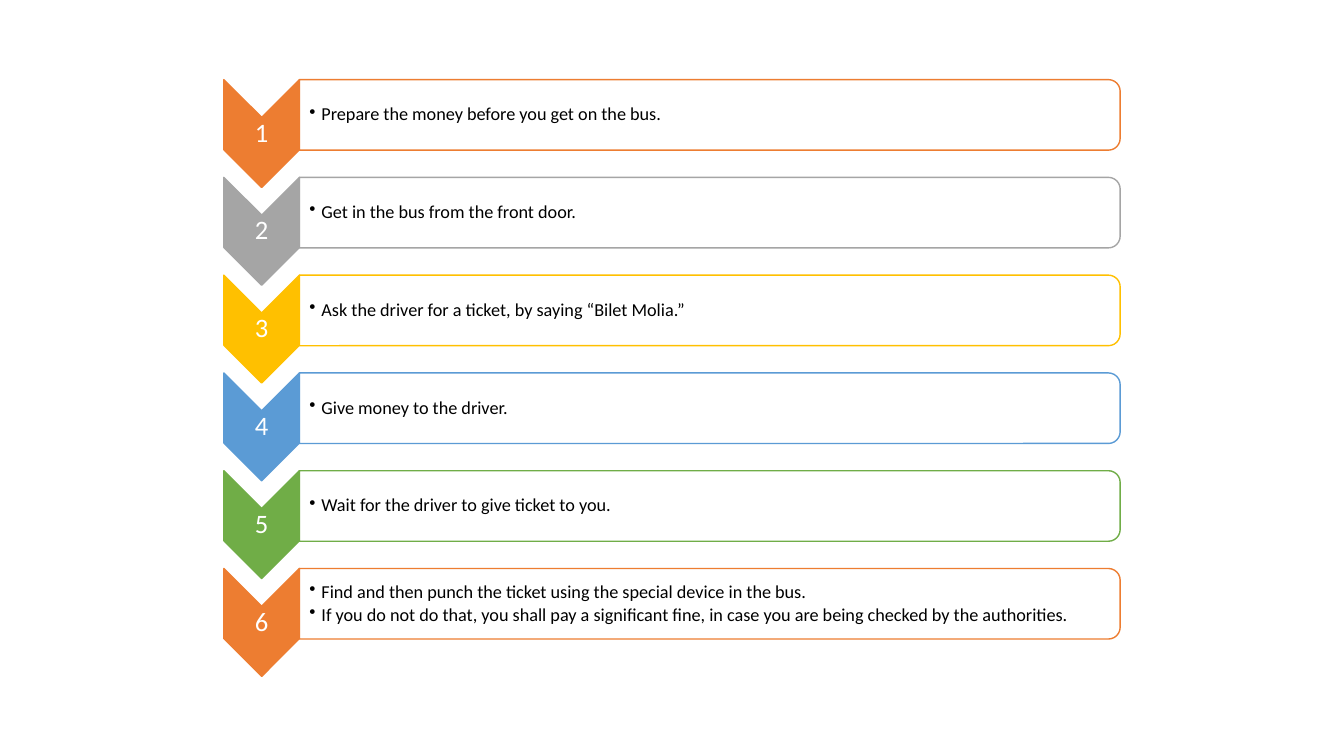
from lxml.etree import SubElement
from pptx import Presentation
from pptx.dml.color import RGBColor
from pptx.enum.shapes import MSO_SHAPE as Preset
from pptx.enum.text import MSO_ANCHOR as Anchor, PP_ALIGN as Align
from pptx.oxml.ns import qn
from pptx.util import Inches, Pt

ORANGE = RGBColor(0xED, 0x7D, 0x31)
GRAY = RGBColor(0xA5, 0xA5, 0xA5)
GOLD = RGBColor(0xFF, 0xC0, 0x00)
BLUE = RGBColor(0x5B, 0x9B, 0xD5)
GREEN = RGBColor(0x70, 0xAD, 0x47)
WHITE = RGBColor(0xFF, 0xFF, 0xFF)
BLACK = RGBColor(0x00, 0x00, 0x00)

STEPS = [
    (ORANGE, ["Prepare the money before you get on the bus."]),
    (GRAY, ["Get in the bus from the front door."]),
    (GOLD, ["Ask the driver for a ticket, by saying “Bilet Molia.”"]),
    (BLUE, ["Give money to the driver."]),
    (GREEN, ["Wait for the driver to give ticket to you."]),
    (ORANGE, [
        "Find and then punch the ticket using the special device in the bus.",
        "If you do not do that, you shall pay a significant fine, "
        "in case you are being checked by the authorities.",
    ]),
]

LEFT, TOP, PITCH = 2.22, 0.79, 0.97
CHEVRON_WIDTH, CHEVRON_HEIGHT = 0.75, 1.07
PANEL_WIDTH, PANEL_HEIGHT = 8.14, 0.7
PANEL_LEFT = LEFT + CHEVRON_WIDTH
NUMBER_HEIGHT, LIST_WIDTH, LIST_HEIGHT = 0.32, 8.1, 0.63
INSET, LIST_INSET, INDENT = 0.01, 0.1, 0.12


def add_turned_shape(slide, preset, left, top, width, height, fill, line):
    """Add a shape turned by 90 degrees that fills the given visible box."""
    shift = (width - height) / 2
    shape = slide.shapes.add_shape(
        preset, Inches(left + shift), Inches(top - shift),
        Inches(height), Inches(width))
    shape.rotation = 90
    shape.shadow.inherit = False
    shape.fill.solid()
    shape.fill.fore_color.rgb = fill
    shape.line.color.rgb = line
    shape.line.width = Pt(1)
    return shape


def add_text(slide, lines, left, top, width, height, size, color, inset, gap):
    """Add a vertically centred text box and return its paragraphs."""
    box = slide.shapes.add_textbox(
        Inches(left), Inches(top), Inches(width), Inches(height))
    frame = box.text_frame
    frame.word_wrap = True
    frame.vertical_anchor = Anchor.MIDDLE
    frame.margin_left = Inches(inset)
    frame.margin_top = frame.margin_right = frame.margin_bottom = Inches(INSET)
    frame.text = "\n".join(lines)
    for paragraph in frame.paragraphs:
        paragraph.line_spacing = 0.9
        paragraph.space_after = Pt(gap)
        paragraph.font.name = "Calibri"
        paragraph.font.size = Pt(size)
        paragraph.font.color.rgb = color
    return frame.paragraphs


def add_bullet(paragraph):
    """Give a paragraph a round bullet with a hanging indent."""
    properties = paragraph._p.get_or_add_pPr()
    properties.set("marL", str(Inches(INDENT)))
    properties.set("indent", str(-Inches(INDENT)))
    bullet = SubElement(properties, qn("a:buChar"))
    bullet.set("char", "•")
    default_run = properties.find(qn("a:defRPr"))
    if default_run is not None:
        default_run.addprevious(bullet)


def add_step(slide, number, color, lines):
    """Add one numbered chevron with its panel and bullet list."""
    top = TOP + (number - 1) * PITCH
    add_turned_shape(slide, Preset.CHEVRON, LEFT, top,
                     CHEVRON_WIDTH, CHEVRON_HEIGHT, color, color)
    number_top = top + (CHEVRON_HEIGHT - NUMBER_HEIGHT) / 2
    [label] = add_text(slide, [str(number)], LEFT, number_top, CHEVRON_WIDTH,
                       NUMBER_HEIGHT, 19, WHITE, INSET, 6)
    label.alignment = Align.CENTER

    panel = add_turned_shape(slide, Preset.ROUND_2_SAME_RECTANGLE, PANEL_LEFT,
                             top, PANEL_WIDTH, PANEL_HEIGHT, WHITE, color)
    fill_color = panel._element.spPr.find(qn("a:solidFill"))[0]
    SubElement(fill_color, qn("a:alpha")).set("val", "90000")

    list_top = top + (PANEL_HEIGHT - LIST_HEIGHT) / 2
    for paragraph in add_text(slide, lines, PANEL_LEFT, list_top, LIST_WIDTH,
                              LIST_HEIGHT, 13, BLACK, LIST_INSET, 2.4):
        add_bullet(paragraph)


presentation = Presentation()
presentation.slide_width = Inches(13.33)
presentation.slide_height = Inches(7.5)
slide = presentation.slides.add_slide(presentation.slide_layouts[6])
for number, (color, lines) in enumerate(STEPS, start=1):
    add_step(slide, number, color, lines)
presentation.save("out.pptx")
